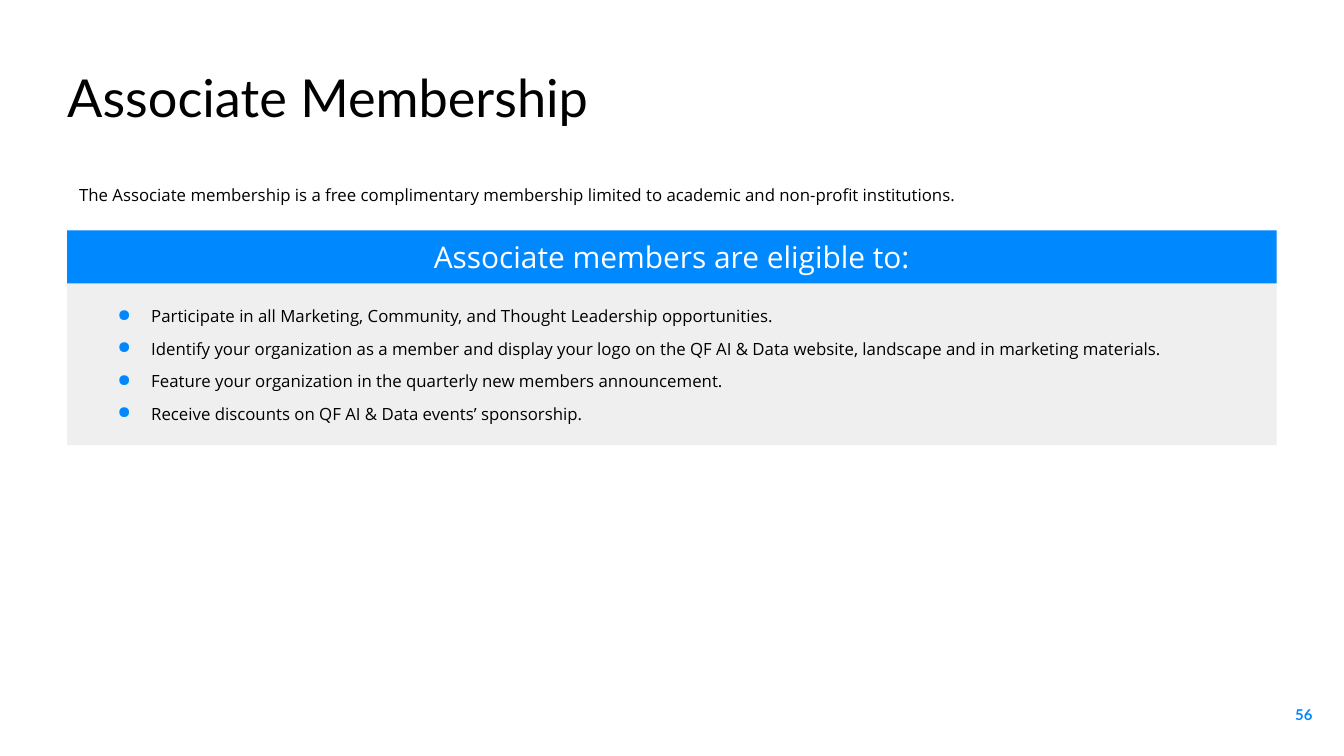
from lxml import etree
from pptx import Presentation
from pptx import util as u
from pptx.dml.color import RGBColor
from pptx.enum import shapes, text
from pptx.oxml.ns import qn

# Content
TITLE = "Associate Membership"
INTRO = ("The Associate membership is a free complimentary membership "
         "limited to academic and non-profit institutions.")
HEAD = "Associate members are eligible to:"
PERKS = [
    "Participate in all Marketing, Community, and Thought Leadership opportunities.",
    "Identify your organization as a member and display your logo on the "
    "QF AI & Data website, landscape and in marketing materials.",
    "Feature your organization in the quarterly new members announcement.",
    "Receive discounts on QF AI & Data events’ sponsorship.",
]
PAGE = "56"

# Look
BLUE, GREY, BLACK, WHITE = "0088FF", "EFEFEF", "000000", "FFFFFF"
WIDE, HIGH = 1920, 1080
EDGE, TOP = 96, 329
SPAN = WIDE - 2 * EDGE


def px(n):
    return u.Emu(n * 9525)


def hue(code):
    return RGBColor.from_string(code)


def bullet(para, left, hang):
    """Give a paragraph a blue dot with a hanging indent."""
    props = para._p.get_or_add_pPr()
    props.set("marL", str(px(left)))
    props.set("indent", str(px(-hang)))
    tint = etree.SubElement(props, qn("a:buClr"))
    etree.SubElement(tint, qn("a:srgbClr"), val=BLUE)
    etree.SubElement(props, qn("a:buChar"), char="●")


def write(shape, lines, size, font="Open Sans", color=BLACK, bold=False,
          align=text.PP_ALIGN.LEFT, anchor=text.MSO_ANCHOR.TOP,
          pad=(0, 0), lead=1.0, gap=0, dots=False):
    frame = shape.text_frame
    frame.word_wrap = True
    frame.auto_size = text.MSO_AUTO_SIZE.NONE
    frame.vertical_anchor = anchor
    frame.margin_left = frame.margin_right = px(pad[0])
    frame.margin_top = frame.margin_bottom = px(pad[1])
    for i, line in enumerate(lines):
        para = frame.add_paragraph() if i else frame.paragraphs[0]
        if dots:
            bullet(para, 72, 48)
        para.alignment = align
        para.line_spacing = lead
        para.space_before = u.Pt(gap if i else 0)
        run = para.add_run()
        run.text = line
        run.font.name, run.font.size = font, u.Pt(size)
        run.font.bold = bold
        run.font.color.rgb = hue(color)


deck = Presentation()
deck.slide_width, deck.slide_height = px(WIDE), px(HIGH)
slide = deck.slides.add_slide(deck.slide_layouts[5])


def box(*at):
    return slide.shapes.add_textbox(*map(px, at))


def rect(fill, *at):
    shape = slide.shapes.add_shape(shapes.MSO_SHAPE.RECTANGLE, *map(px, at))
    shape.shadow.inherit = False
    shape.fill.solid()
    shape.fill.fore_color.rgb = hue(fill)
    shape.line.fill.background()
    return shape


# Title and page number
title = slide.shapes.title
title.left, title.top, title.width, title.height = map(px, (EDGE, 93, 1789, 120))
write(title, [TITLE], 56, font="Lato")
write(box(1779, 979, 115, 83), [PAGE], 16, font="Lato", color=BLUE, bold=True,
      align=text.PP_ALIGN.RIGHT, anchor=text.MSO_ANCHOR.MIDDLE, pad=(19, 19))

# Intro line
write(box(99, 252, 1722, 92), [INTRO], 18, pad=(14, 7), lead=1.15)

# Panel with perks under a blue heading bar
rect(GREY, EDGE, TOP, SPAN, 307)
write(box(125, 423, 1617, 207), PERKS, 18, pad=(19, 10), lead=1.15, gap=10,
      dots=True)
write(rect(BLUE, EDGE, TOP, SPAN, 76), [HEAD], 32, color=WHITE,
      align=text.PP_ALIGN.CENTER, anchor=text.MSO_ANCHOR.MIDDLE, pad=(19, 19))

deck.save("out.pptx")
